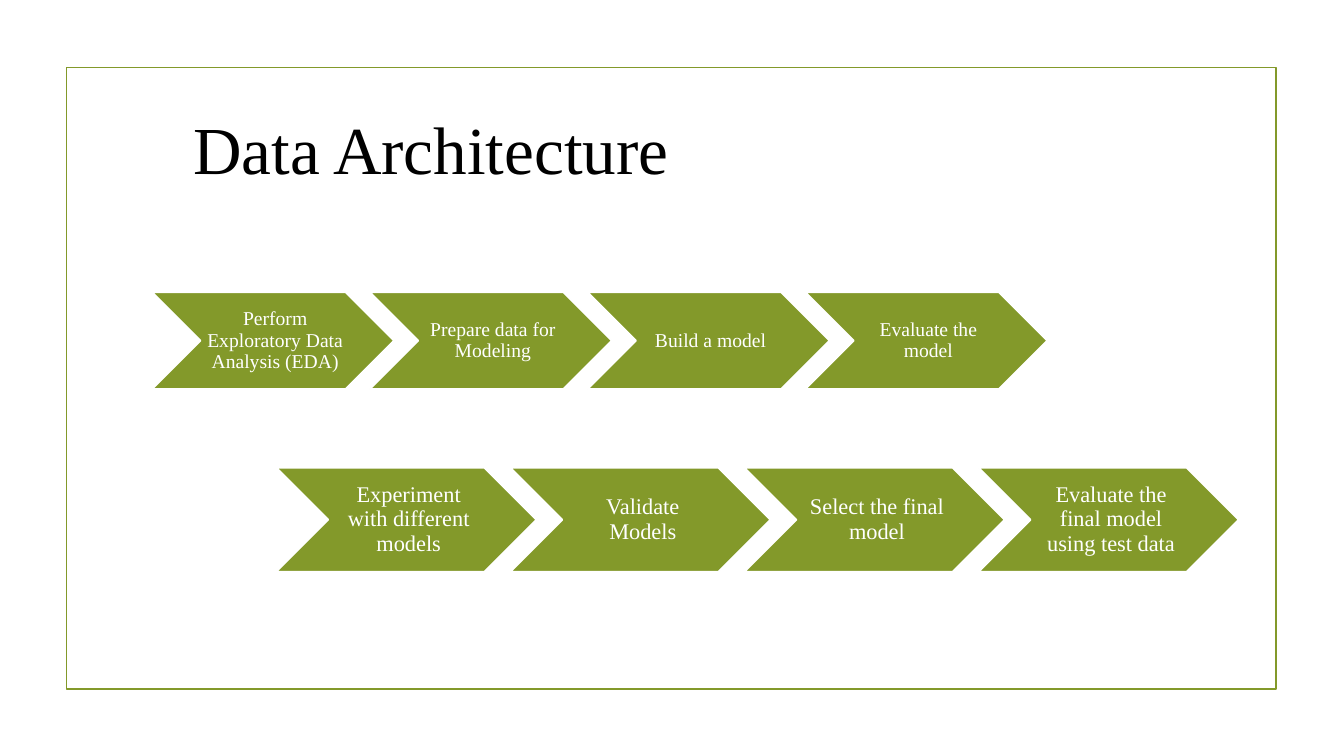
from dataclasses import dataclass

from pptx import Presentation
from pptx import util as u
from pptx.dml import color
from pptx.enum import shapes, text

FONT = "Times New Roman"
OLIVE = "83992A"
WHITE = "FFFFFF"
BLACK = "000000"
LINE_WIDTH = 1.25
PITCH_RATIO = 0.9
HEIGHT_RATIO = 0.4


@dataclass(frozen=True)
class ProcessRow:
    left: float
    top: float
    chevron_width: float
    font_size: float
    left_inset: float
    steps: tuple[str, ...]


ROWS = (
    ProcessRow(108.7, 208.8, 172.8, 14, 4.5, (
        "Perform Exploratory Data Analysis (EDA)",
        "Prepare data for Modeling",
        "Build a model",
        "Evaluate the model",
    )),
    ProcessRow(197.3, 334.1, 185.8, 16, 5, (
        "Experiment\nwith different\nmodels",
        "Validate\nModels",
        "Select the final\nmodel",
        "Evaluate the\nfinal model\nusing test data",
    )),
)


def rgb(value: str) -> color.RGBColor:
    return color.RGBColor.from_string(value)


def style_paragraph(para, size: float, fill: str) -> None:
    para.font.name = FONT
    para.font.size = u.Pt(size)
    para.font.color.rgb = rgb(fill)


def add_frame(page) -> None:
    frame = page.shapes.add_shape(
        shapes.MSO_SHAPE.RECTANGLE, u.Pt(47.5), u.Pt(48.2), u.Pt(864), u.Pt(444.2))
    frame.shadow.inherit = False
    frame.fill.background()
    frame.line.color.rgb = rgb(OLIVE)
    frame.line.width = u.Pt(LINE_WIDTH)


def add_title(page) -> None:
    box = page.shapes.add_textbox(u.Pt(131), u.Pt(73.4), u.Pt(500.4), u.Pt(65.5))
    box.text_frame.word_wrap = True
    para = box.text_frame.paragraphs[0]
    para.text = "Data Architecture"
    style_paragraph(para, 48, BLACK)


def add_row(page, row: ProcessRow) -> None:
    for index, step in enumerate(row.steps):
        chevron = page.shapes.add_shape(
            shapes.MSO_SHAPE.CHEVRON,
            u.Pt(row.left + index * row.chevron_width * PITCH_RATIO),
            u.Pt(row.top),
            u.Pt(row.chevron_width),
            u.Pt(row.chevron_width * HEIGHT_RATIO))
        chevron.shadow.inherit = False
        chevron.fill.solid()
        chevron.fill.fore_color.rgb = rgb(OLIVE)
        chevron.line.color.rgb = rgb(WHITE)
        chevron.line.width = u.Pt(LINE_WIDTH)

        frame = chevron.text_frame
        frame.word_wrap = True
        frame.vertical_anchor = text.MSO_ANCHOR.MIDDLE
        frame.margin_left = u.Pt(row.left_inset)
        frame.margin_top = frame.margin_right = frame.margin_bottom = u.Pt(1.5)
        para = frame.paragraphs[0]
        para.text = step
        para.alignment = text.PP_ALIGN.CENTER
        para.line_spacing = 0.9
        style_paragraph(para, row.font_size, WHITE)


def main() -> None:
    deck = Presentation()
    deck.slide_width = u.Pt(960)
    deck.slide_height = u.Pt(540)
    page = deck.slides.add_slide(deck.slide_layouts[6])
    add_frame(page)
    for row in ROWS:
        add_row(page, row)
    add_title(page)
    deck.save("out.pptx")


if __name__ == "__main__":
    main()
